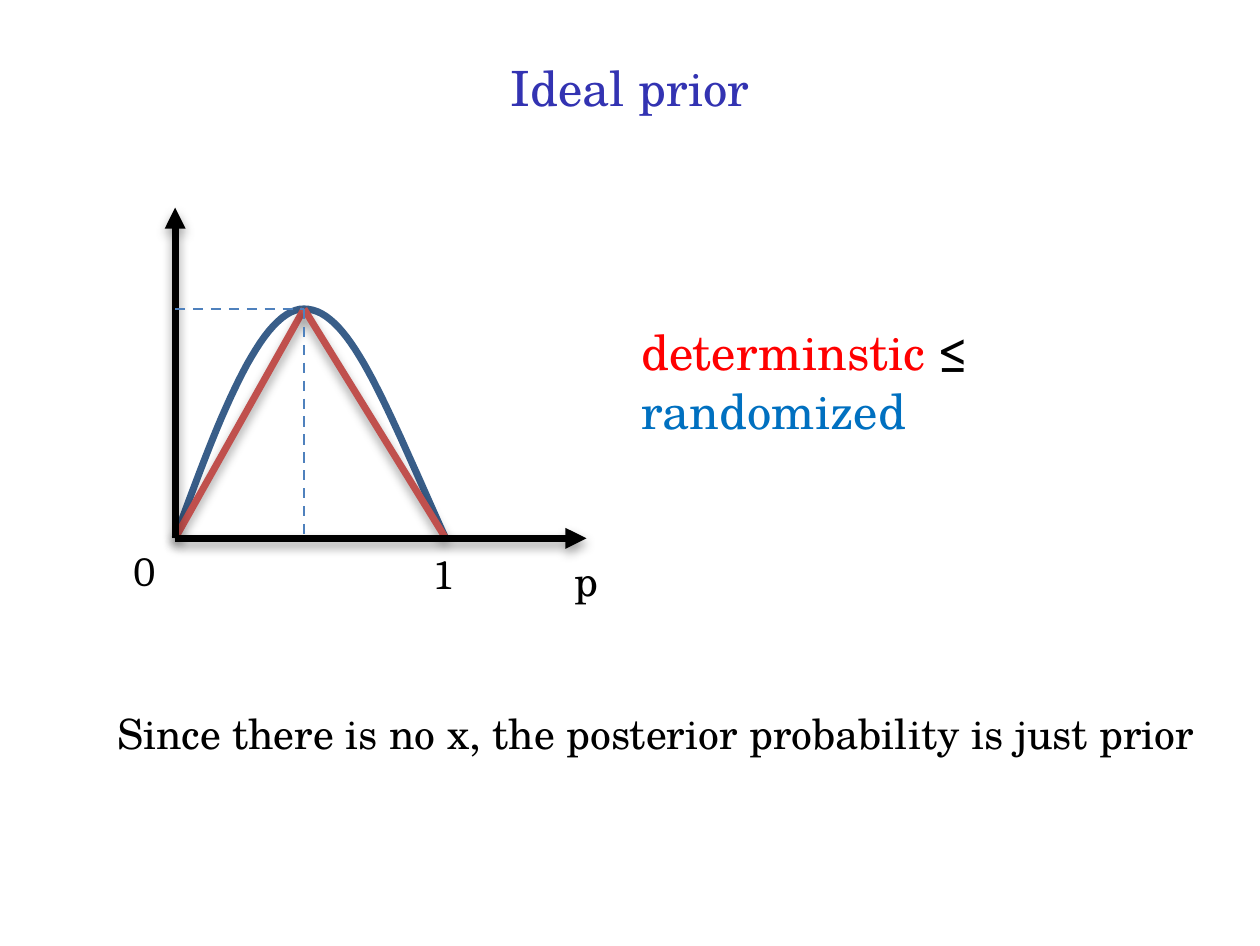
"""Build the slide that compares deterministic and randomized error for an ideal prior."""
from dataclasses import dataclass

from lxml.etree import SubElement
from pptx import Presentation
from pptx.dml.color import RGBColor as Rgb
from pptx.enum.dml import MSO_LINE_DASH_STYLE as Dash
from pptx.enum.shapes import MSO_CONNECTOR as Connector
from pptx.enum.text import MSO_AUTO_SIZE as AutoSize, PP_ALIGN as Align
from pptx.oxml import parse_xml
from pptx.oxml.ns import nsdecls, qn
from pptx.util import Cm, Pt

Point = tuple[float, float]


@dataclass(frozen=True)
class Theme:
    serif: str = "TeX Gyre Schola"
    digits: str = "Cambria"
    heading: str = "3333B2"
    ink: str = "000000"
    deterministic: str = "FF0000"
    randomized: str = "0070C0"
    curve: str = "395E89"
    chord: str = "C0504D"
    guide: str = "4F81BD"
    large: float = 14
    normal: float = 12
    thick: float = 2
    thin: float = 0.75


THEME = Theme()


@dataclass(frozen=True)
class Run:
    text: str
    color: str = THEME.ink
    size: float = THEME.normal
    font: str = THEME.serif


@dataclass(frozen=True)
class Stroke:
    start: Point
    end: Point
    color: str
    arrow: bool = False
    guide: bool = False


@dataclass(frozen=True)
class Label:
    left: float
    top: float
    width: float
    height: float
    runs: tuple[Run, ...]
    wrap: bool = False


ORIGIN: Point = (1.78, 5.47)
APEX: Point = (3.09, 3.14)
ONE: Point = (4.53, 5.47)

BEZIERS: tuple[tuple[Point, ...], ...] = (
    (ORIGIN, (2.21, 4.3), (2.64, 3.14), APEX),
    (APEX, (3.55, 3.14), (3.89, 4.05), ONE),
)

STROKES = (
    Stroke(APEX, ORIGIN, THEME.chord),
    Stroke(APEX, ONE, THEME.chord),
    Stroke(ORIGIN, (ORIGIN[0], 2.11), THEME.ink, arrow=True),
    Stroke(ORIGIN, (5.96, ORIGIN[1]), THEME.ink, arrow=True),
    Stroke((ORIGIN[0], APEX[1]), APEX, THEME.guide, guide=True),
    Stroke(APEX, (APEX[0], ORIGIN[1]), THEME.guide, guide=True),
)

LABELS = (
    Label(5.59, 5.51, 0.76, 0.76, (Run("p"),)),
    Label(6.27, 3.15, 6.5, 0.86, (
        Run("determinstic", THEME.deterministic, THEME.large),
        Run(" ≤ ", THEME.ink, THEME.large),
        Run("randomized", THEME.randomized, THEME.large),
    ), wrap=True),
    Label(1.11, 5.41, 0.74, 0.76, (Run("0", font=THEME.digits),)),
    Label(4.18, 5.44, 0.74, 0.76, (Run("1", font=THEME.digits),)),
)


def add_runs(para, runs: tuple[Run, ...]) -> None:
    for run in runs:
        span = para.add_run()
        span.text = run.text
        span.font.name = run.font
        span.font.size = Pt(run.size)
        span.font.color.rgb = Rgb.from_string(run.color)


def fill_placeholder(box, place: Label, align: Align) -> None:
    box.left, box.top = Cm(place.left), Cm(place.top)
    box.width, box.height = Cm(place.width), Cm(place.height)
    frame = box.text_frame
    frame.margin_left = frame.margin_right = frame.margin_top = frame.margin_bottom = 0
    frame.word_wrap = place.wrap
    frame.auto_size = AutoSize.NONE
    para = frame.paragraphs[0]
    para.alignment = align
    para.space_before = Pt(0)
    properties = para._p.get_or_add_pPr()
    properties.set("marL", "0")
    properties.set("indent", "0")
    SubElement(properties, qn("a:buNone"))
    add_runs(para, place.runs)


def add_label(slide, label: Label) -> None:
    box = slide.shapes.add_textbox(
        Cm(label.left), Cm(label.top), Cm(label.width), Cm(label.height))
    box.text_frame.word_wrap = label.wrap
    add_runs(box.text_frame.paragraphs[0], label.runs)


def bezier_point(controls: tuple[Point, ...], t: float) -> Point:
    weights = ((1 - t) ** 3, 3 * t * (1 - t) ** 2, 3 * t ** 2 * (1 - t), t ** 3)
    x, y = (sum(w * point[axis] for w, point in zip(weights, controls)) for axis in (0, 1))
    return x, y


def add_curve(slide, steps: int = 30) -> None:
    points = [bezier_point(controls, step / steps)
              for controls in BEZIERS for step in range(1, steps + 1)]
    builder = slide.shapes.build_freeform(Cm(ORIGIN[0]), Cm(ORIGIN[1]))
    builder.add_line_segments([(Cm(x), Cm(y)) for x, y in points], close=False)
    curve = builder.convert_to_shape()
    curve.shadow.inherit = False
    curve.fill.background()
    curve.line.color.rgb = Rgb.from_string(THEME.curve)
    curve.line.width = Pt(THEME.thick)


def add_stroke(slide, stroke: Stroke) -> None:
    line = slide.shapes.add_connector(
        Connector.STRAIGHT, *(Cm(value) for value in stroke.start + stroke.end))
    line.line.color.rgb = Rgb.from_string(stroke.color)
    line.line.width = Pt(THEME.thin if stroke.guide else THEME.thick)
    if stroke.guide:
        line.line.dash_style = Dash.DASH
    if stroke.arrow:
        SubElement(line.line._get_or_add_ln(), qn("a:tailEnd"), type="triangle")
    shadow = "" if stroke.guide else (
        f'<a:outerShdw blurRad="{Pt(3.1)}" dist="{Pt(1.6)}" dir="5400000" rotWithShape="0">'
        f'<a:srgbClr val="{THEME.ink}"><a:alpha val="38000"/></a:srgbClr></a:outerShdw>')
    line._element.spPr.append(
        parse_xml(f'<a:effectLst {nsdecls("a")}>{shadow}</a:effectLst>'))


def main() -> None:
    deck = Presentation()
    deck.slide_width, deck.slide_height = Pt(363), Pt(272.5)
    slide = deck.slides.add_slide(deck.slide_layouts[1])
    title = Label(0, 0.58, 12.81, 0.61,
                  (Run("Ideal prior", THEME.heading, THEME.large),), wrap=True)
    note = Label(1.19, 7.19, 11.13, 0.51, (
        Run("Since there is no x, the posterior probability is just prior"),), wrap=True)
    fill_placeholder(slide.shapes.title, title, Align.CENTER)
    fill_placeholder(slide.placeholders[1], note, Align.LEFT)
    add_curve(slide)
    for stroke in STROKES:
        add_stroke(slide, stroke)
    for label in LABELS:
        add_label(slide, label)
    deck.save("out.pptx")


if __name__ == "__main__":
    main()
